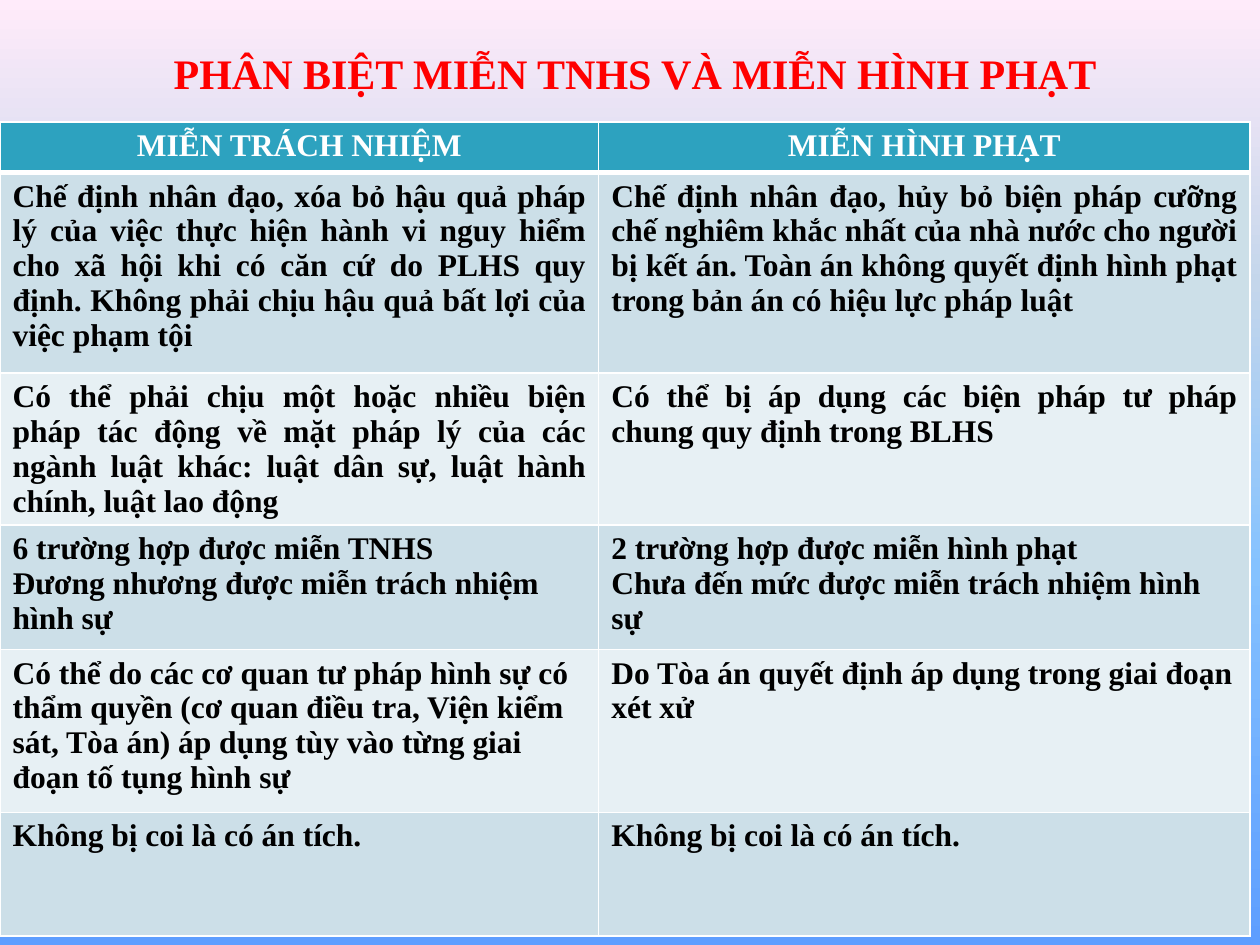
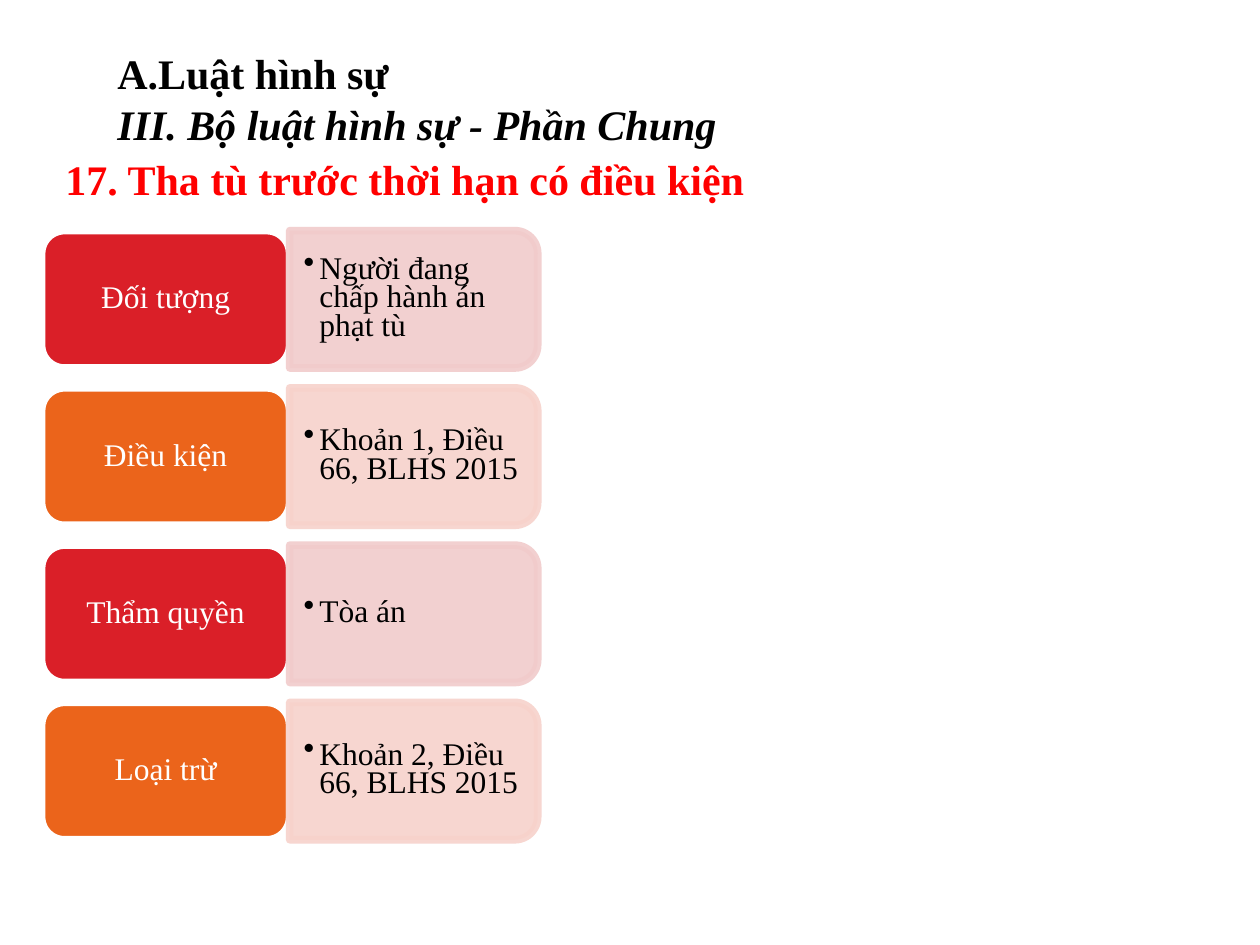
"""Two slides on exemption from criminal liability and conditional early release."""
import dataclasses

import lxml.etree
import pptx
import pptx.dml.color
import pptx.enum.shapes
import pptx.enum.text
import pptx.oxml.ns
import pptx.util

Cm, Pt = pptx.util.Cm, pptx.util.Pt
Align, Anchor = pptx.enum.text.PP_ALIGN, pptx.enum.text.MSO_ANCHOR
Shape = pptx.enum.shapes.MSO_SHAPE
qn = pptx.oxml.ns.qn


@dataclasses.dataclass(frozen=True)
class Theme:
    """Colours, font and type sizes of the deck."""
    font: str = "Times New Roman"
    title_size: int = 24
    body_size: int = 18
    white: str = "FFFFFF"
    black: str = "000000"
    accent: str = "FF0000"
    header: str = "2DA2BF"
    bands: tuple = ("CCDFE8", "E7F0F4")
    sky: tuple = ((0, "5E9EFF"), (40, "85C2FF"), (70, "C4D6EB"), (100, "FFEBFA"))
    labels: tuple = ("DA1F28", "EB641B")
    panels: tuple = ("F1CBCB", "F7D2CB")
    outline: float = 4.33


THEME = Theme()

COLUMN_WIDTHS = (12.07, 13.13)
ROW_HEIGHTS = (1.02, 4.04, 2.97, 2.51, 3.28, 2.49)
JUSTIFIED_ROWS = (1, 2)
COMPARISON = (
    ("MIỄN TRÁCH NHIỆM", "MIỄN HÌNH PHẠT"),
    ("Chế định nhân đạo, xóa bỏ hậu quả pháp lý của việc thực hiện hành vi nguy hiểm cho xã hội "
     "khi có căn cứ do PLHS quy định. Không phải chịu hậu quả bất lợi của việc phạm tội",
     "Chế định nhân đạo, hủy bỏ biện pháp cưỡng chế nghiêm khắc nhất của nhà nước cho người "
     "bị kết án. Toàn án không quyết định hình phạt trong bản án có hiệu lực pháp luật"),
    ("Có thể phải chịu một hoặc nhiều biện pháp tác động về mặt pháp lý của các ngành luật khác: "
     "luật dân sự, luật hành chính, luật lao động",
     "Có thể bị áp dụng các biện pháp tư pháp chung quy định trong BLHS"),
    ("6 trường hợp được miễn TNHS\nĐương nhương được miễn trách nhiệm hình sự",
     "2 trường hợp được miễn hình phạt\nChưa đến mức được miễn trách nhiệm hình sự"),
    ("Có thể do các cơ quan tư pháp hình sự có thẩm quyền (cơ quan điều tra, Viện kiểm sát, "
     "Tòa án) áp dụng tùy vào từng giai đoạn tố tụng hình sự",
     "Do Tòa án quyết định áp dụng trong giai đoạn xét xử"),
    ("Không bị coi là có án tích.",) * 2,
)

EARLY_RELEASE = (
    ("Đối tượng", "Người đang chấp hành án phạt tù"),
    ("Điều kiện", "Khoản 1, Điều 66, BLHS 2015"),
    ("Thẩm quyền", "Tòa án"),
    ("Loại trừ", "Khoản 2, Điều 66, BLHS 2015"),
)
CARD_LEFT, CARD_TOP, CARD_PITCH = 0.84, 4.65, 3.17
CARD_WIDTH, CARD_HEIGHT = 5.0, 2.77


def rgb(colour):
    """Turn a hex string into a colour value."""
    return pptx.dml.color.RGBColor.from_string(colour)


def write(frame, text, colour, size=THEME.body_size, bold=False, align=Align.LEFT, spacing=None):
    """Fill a text frame and format every run."""
    frame.text = text
    frame.word_wrap = True
    for paragraph in frame.paragraphs:
        paragraph.alignment = align
        paragraph.line_spacing = spacing
        for run in paragraph.runs:
            run.font.name = THEME.font
            run.font.size = Pt(size)
            run.font.bold = bold
            run.font.color.rgb = rgb(colour)


def indent(paragraph, left, hanging=0):
    """Set the left margin and hanging indent of a paragraph."""
    properties = paragraph._p.get_or_add_pPr()
    properties.set("marL", str(Cm(left)))
    properties.set("indent", str(-Cm(hanging)))
    return properties


def add_title_slide(deck, title, box, colour, align):
    """Add a title-only slide and place its title."""
    slide = deck.slides.add_slide(deck.slide_layouts[5])
    heading = slide.shapes.title
    heading.left, heading.top, heading.width, heading.height = map(Cm, box)
    frame = heading.text_frame
    frame.auto_size = pptx.enum.text.MSO_AUTO_SIZE.NONE
    frame.vertical_anchor = Anchor.TOP
    write(frame, title, colour, THEME.title_size, True, align)
    return slide


def paint_sky(slide):
    """Give the slide a vertical gradient background."""
    fill = slide.background.fill
    fill.gradient()
    fill.gradient_angle = 90
    stops = next(slide.element.iter(qn("a:gsLst")))
    for stop in list(stops):
        stops.remove(stop)
    for position, colour in THEME.sky:
        stop = lxml.etree.SubElement(stops, qn("a:gs"), pos=str(position * 1000))
        lxml.etree.SubElement(stop, qn("a:srgbClr"), val=colour)


def add_borders(cell, bottom):
    """Draw white borders round a cell, with a chosen bottom width."""
    properties = cell._tc.get_or_add_tcPr()
    for side, width in (("L", 1), ("R", 1), ("T", 1), ("B", bottom)):
        line = lxml.etree.SubElement(properties, qn(f"a:ln{side}"), w=str(Pt(width)))
        solid = lxml.etree.SubElement(line, qn("a:solidFill"))
        lxml.etree.SubElement(solid, qn("a:srgbClr"), val=THEME.white)


def add_comparison(slide):
    """Add the two-column comparison table."""
    table = slide.shapes.add_table(
        len(COMPARISON), len(COLUMN_WIDTHS), 0, Cm(2.46),
        Cm(sum(COLUMN_WIDTHS)), Cm(sum(ROW_HEIGHTS))).table
    for column, width in zip(table.columns, COLUMN_WIDTHS):
        column.width = Cm(width)
    for index, (row, height, texts) in enumerate(zip(table.rows, ROW_HEIGHTS, COMPARISON)):
        row.height = Cm(height)
        is_header = index == 0
        align = Align.JUSTIFY if index in JUSTIFIED_ROWS else Align.LEFT
        for cell, text in zip(row.cells, texts):
            add_borders(cell, 3 if is_header else 1)
            cell.fill.solid()
            cell.fill.fore_color.rgb = rgb(THEME.header if is_header else THEME.bands[(index - 1) % 2])
            write(cell.text_frame, text, THEME.white if is_header else THEME.black,
                  bold=True, align=Align.CENTER if is_header else align)


def add_text(slide, box, text, colour, **style):
    """Add a wrapped text box and return its frame."""
    frame = slide.shapes.add_textbox(*map(Cm, box)).text_frame
    write(frame, text, colour, **style)
    return frame


def add_block(slide, kind, box, fill, line, adjustments):
    """Add a flat outlined preset shape."""
    block = slide.shapes.add_shape(kind, *map(Cm, box))
    block.shadow.inherit = False
    block.fill.solid()
    block.fill.fore_color.rgb = rgb(fill)
    block.line.color.rgb = rgb(line)
    block.line.width = Pt(THEME.outline)
    for index, value in enumerate(adjustments):
        block.adjustments[index] = value
    return block


def add_panel(slide, left, top, colour):
    """Add a translucent panel rounded on its right side."""
    shift = (CARD_WIDTH - CARD_HEIGHT) / 2
    panel = add_block(slide, Shape.ROUND_2_SAME_RECTANGLE,
                      (left + shift, top - shift, CARD_HEIGHT, CARD_WIDTH),
                      colour, colour, (0.167, 0))
    panel.rotation = 90
    for tint in panel._element.spPr.iter(qn("a:srgbClr")):
        lxml.etree.SubElement(tint, qn("a:alpha"), val="90000")


def add_card(slide, index, label, detail):
    """Add a label with its detail panel and bullet."""
    top = CARD_TOP + index * CARD_PITCH
    panel_left = CARD_LEFT + CARD_WIDTH
    tag = add_block(slide, Shape.ROUNDED_RECTANGLE, (CARD_LEFT, top, CARD_WIDTH, CARD_HEIGHT),
                    THEME.labels[index % 2], THEME.white, (0.167,))
    tag.text_frame.vertical_anchor = Anchor.MIDDLE
    write(tag.text_frame, label, THEME.white, align=Align.CENTER, spacing=0.85)
    add_panel(slide, panel_left, top, THEME.panels[index % 2])
    frame = add_text(slide, (panel_left + 0.03, top + 0.14, 4.88, 2.49), detail,
                     THEME.black, spacing=0.75)
    frame.vertical_anchor = Anchor.MIDDLE
    paragraph = frame.paragraphs[0]
    paragraph.level = 1
    properties = indent(paragraph, 0.32, 0.32)
    bullet_colour = lxml.etree.SubElement(properties, qn("a:buClr"))
    lxml.etree.SubElement(bullet_colour, qn("a:srgbClr"), val=THEME.black)
    lxml.etree.SubElement(properties, qn("a:buChar"), char="•")


def main():
    """Build and save both slides."""
    deck = pptx.Presentation()
    deck.slide_width, deck.slide_height = Cm(25.4), Cm(19.05)

    exemption = add_title_slide(deck, "PHÂN BIỆT MIỄN TNHS VÀ MIỄN HÌNH PHẠT",
                                (0.84, 0.84, 23.93, 1.27), THEME.accent, Align.CENTER)
    paint_sky(exemption)
    add_comparison(exemption)

    release = add_title_slide(deck, "A.Luật hình sự\nIII. Bộ luật hình sự - Phần Chung",
                              (0.84, 0.84, 18.21, 3.33), THEME.black, Align.JUSTIFY)
    release.background.fill.solid()
    release.background.fill.fore_color.rgb = rgb(THEME.white)
    chapters = release.shapes.title.text_frame.paragraphs
    for chapter in chapters:
        indent(chapter, 1.27)
    chapters[1].runs[0].font.italic = True
    add_text(release, (1.07, 2.97, 23.29, 1.27), "17. Tha tù trước thời hạn có điều kiện",
             THEME.accent, size=THEME.title_size, bold=True, align=Align.JUSTIFY)
    for index, (label, detail) in enumerate(EARLY_RELEASE):
        add_card(release, index, label, detail)

    deck.save("out.pptx")


if __name__ == "__main__":
    main()
